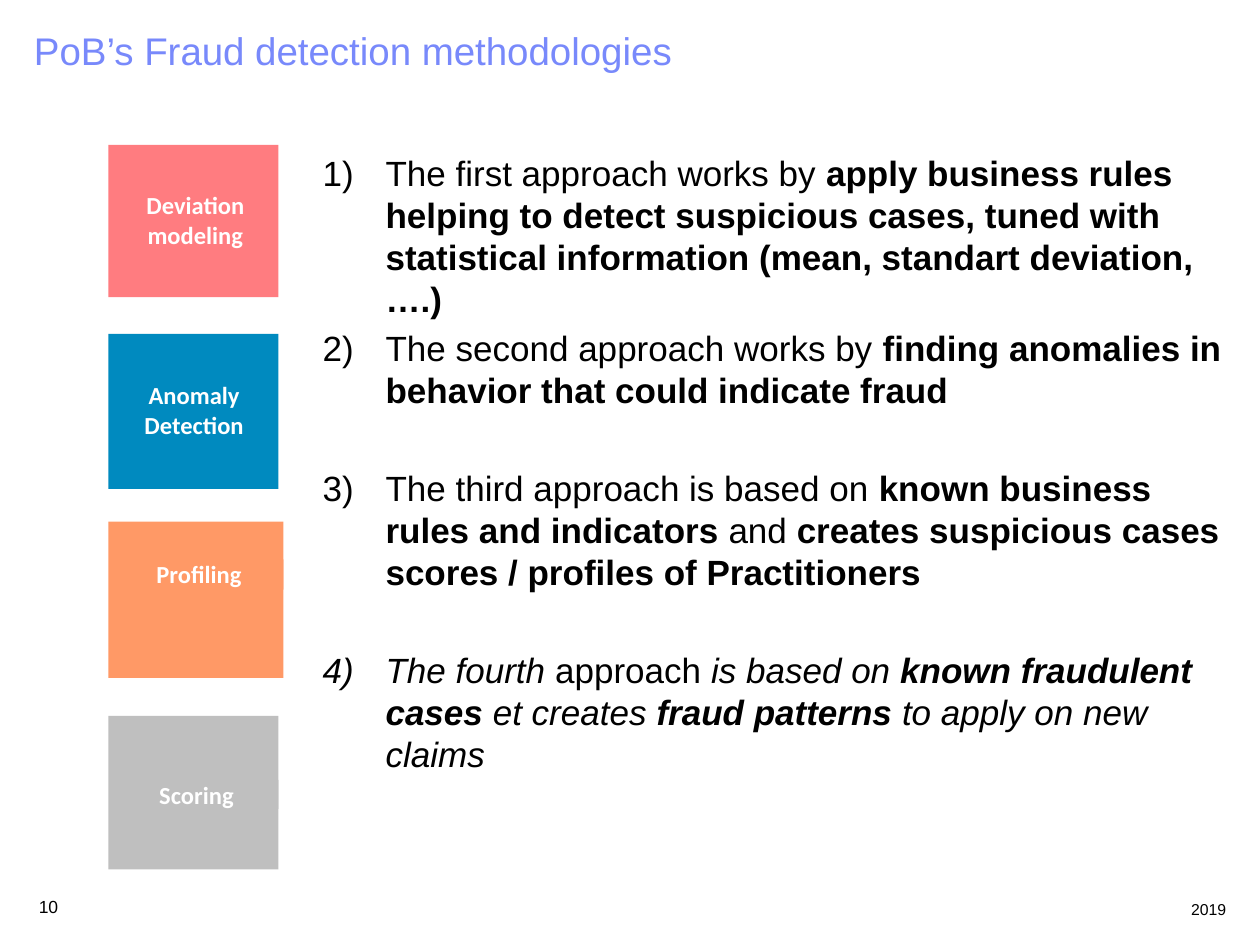
import pptx
import pptx.dml.color
import pptx.enum.shapes
import pptx.enum.text
import pptx.oxml.ns
import pptx.util
from lxml import etree

Pt = pptx.util.Pt
ALIGN = pptx.enum.text.PP_ALIGN
RECTANGLE = pptx.enum.shapes.MSO_SHAPE.RECTANGLE

COLORS = {
    "title": "7889FB", "text": "000000", "label": "FFFFFF",
    "deviation": "FF7C80", "anomaly": "008ABF",
    "profiling": "FF9966", "scoring": "BFBFBF",
}

# Each tile: color, (top, width, height), label, (left, top, width, height)
TILES = [
    ("deviation", (82.8, 97.2, 87), "Deviation modeling", (67, 108.7, 89.3, 39)),
    ("anomaly", (190.8, 97.2, 88.6), "Anomaly Detection", (77.8, 217.4, 66.2, 19.4)),
    ("profiling", (298.1, 100, 89.3), "Profiling", (65.5, 319.7, 96.5, 17.3)),
    ("scoring", (409, 97.2, 87.8), "Scoring", (65.5, 445.7, 93.6, 16.6)),
]

# Each approach: space before, then runs of text and style (b bold, i italic)
APPROACHES = [
    (0, [("The first approach works by ", ""),
         ("apply business rules helping to detect suspicious cases, tuned with "
          "statistical information (mean, standart deviation, ….)", "b")]),
    (4, [("The second approach works by ", ""),
         ("finding anomalies in behavior that could indicate fraud", "b")]),
    (32, [("The third approach is based on ", ""),
          ("known business rules and indicators ", "b"),
          ("and", ""),
          (" creates suspicious cases scores / profiles of Practitioners", "b")]),
    (32, [("The fourth ", "i"), ("approach ", ""), ("is based on ", "i"),
          ("known fraudulent cases ", "bi"), ("et creates ", "i"),
          ("fraud patterns ", "bi"), ("to apply on new claims", "i")]),
]


def add_text(paragraph, text, size, color="text", font="Arial", bold=False, italic=False):
    run = paragraph.add_run()
    run.text = text
    run.font.name = font
    run.font.size = Pt(size)
    run.font.bold = bold
    run.font.italic = italic
    run.font.color.rgb = pptx.dml.color.RGBColor.from_string(COLORS[color])


def place(shape, box):
    shape.left, shape.top, shape.width, shape.height = [Pt(length) for length in box]


def set_frame(shape, margins=(7.2, 3.6, 7.2, 3.6)):
    frame = shape.text_frame
    frame.word_wrap = True
    frame.auto_size = pptx.enum.text.MSO_AUTO_SIZE.NONE
    frame.vertical_anchor = pptx.enum.text.MSO_ANCHOR.TOP
    (frame.margin_left, frame.margin_top,
     frame.margin_right, frame.margin_bottom) = [Pt(margin) for margin in margins]
    return frame


def number_paragraph(paragraph, indent):
    properties = paragraph._p.get_or_add_pPr()
    properties.set("marL", str(Pt(indent)))
    properties.set("indent", str(-Pt(indent)))
    number = etree.SubElement(properties, pptx.oxml.ns.qn("a:buAutoNum"))
    number.set("type", "arabicParenR")


def fill_title(slide, box):
    title = slide.shapes.title
    place(title, box)
    paragraph = set_frame(title).paragraphs[0]
    paragraph.alignment = ALIGN.LEFT
    paragraph.line_spacing = 0.9
    add_text(paragraph, "PoB’s Fraud detection methodologies", 22, "title")


def fill_approaches(slide, box):
    body = slide.placeholders[1]
    place(body, box)
    frame = set_frame(body, (0, 3.6, 7.2, 3.6))
    for index, (space_before, runs) in enumerate(APPROACHES):
        paragraph = frame.add_paragraph() if index else frame.paragraphs[0]
        paragraph.line_spacing = Pt(24)
        paragraph.space_before = Pt(space_before)
        number_paragraph(paragraph, 36)
        for text, style in runs:
            add_text(paragraph, text, 20, bold="b" in style, italic="i" in style)


def add_rectangle(shapes, box, color):
    rectangle = shapes.add_shape(RECTANGLE, *[Pt(length) for length in box])
    rectangle.shadow.inherit = False
    rectangle.fill.solid()
    rectangle.fill.fore_color.rgb = pptx.dml.color.RGBColor.from_string(COLORS[color])
    rectangle.line.fill.background()
    return rectangle


def add_tile(slide, box, color, text, label_box):
    group = slide.shapes.add_group_shape()
    add_rectangle(group.shapes, box, color)
    label = add_rectangle(group.shapes, label_box, color)
    paragraph = set_frame(label, (0, 0, 0, 0)).paragraphs[0]
    paragraph.alignment = ALIGN.CENTER
    add_text(paragraph, text, 14, "label", "Calibri", bold=True)


def add_footer(slide, box, text, size, alignment):
    footer = slide.shapes.add_textbox(*[Pt(length) for length in box])
    paragraph = set_frame(footer).paragraphs[0]
    paragraph.alignment = alignment
    add_text(paragraph, text, size)


def main():
    presentation = pptx.Presentation()
    presentation.slide_width = Pt(720)
    presentation.slide_height = Pt(540)
    slide = presentation.slides.add_slide(presentation.slide_layouts[1])

    # Title and numbered approaches
    fill_title(slide, (12.2, 15.1, 657.4, 66.2))
    fill_approaches(slide, (184.3, 82.8, 529.2, 414))

    # Colored tiles
    for color, (top, width, height), text, label_box in TILES:
        add_tile(slide, (61.9, top, width, height), color, text, label_box)

    # Year and page number
    add_footer(slide, (467.3, 510.5, 240.5, 18), "2019", 9, ALIGN.RIGHT)
    add_footer(slide, (15.1, 508.3, 43.2, 19.4), "10", 10, ALIGN.LEFT)

    presentation.save("out.pptx")


if __name__ == "__main__":
    main()
